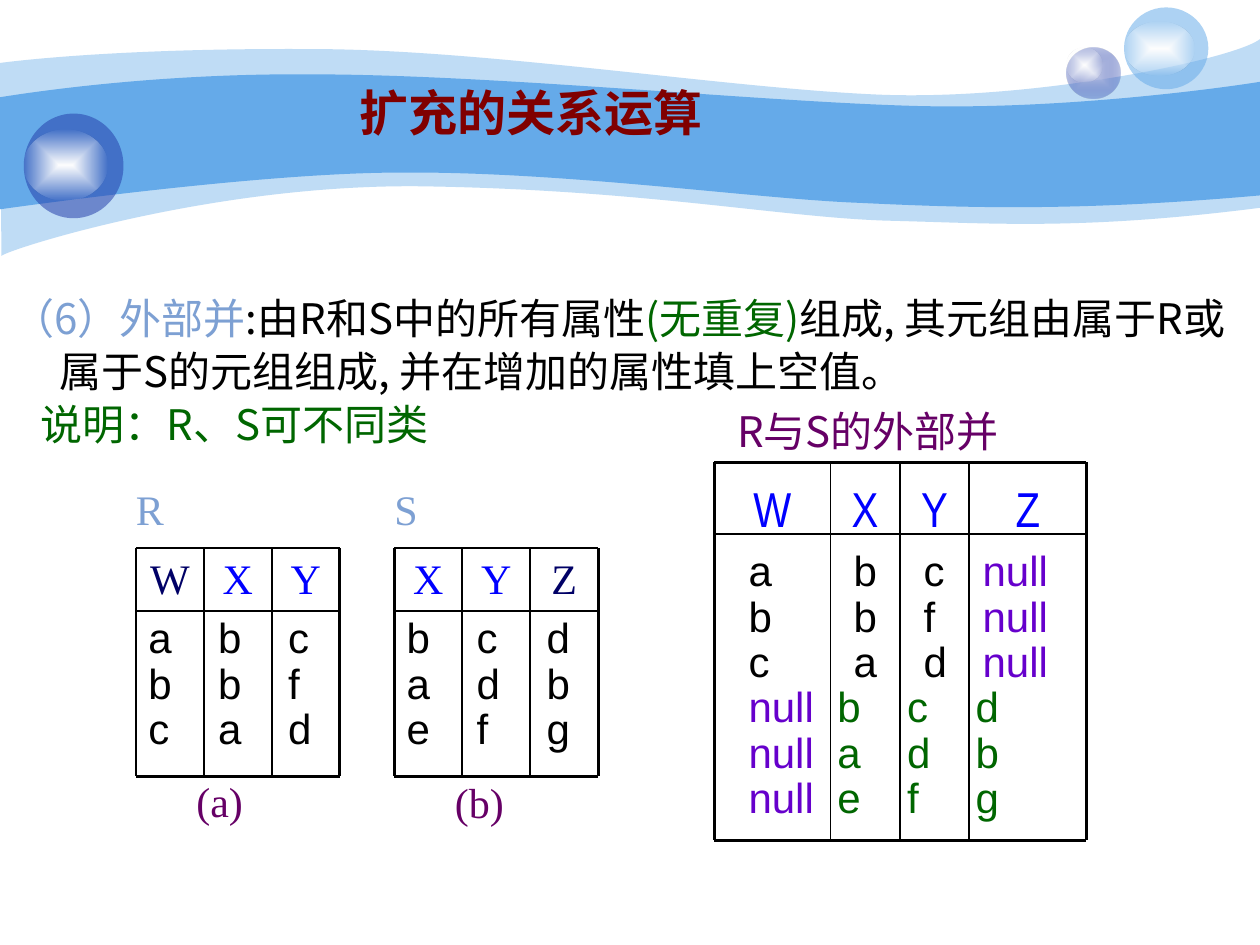
from itertools import accumulate
from pptx import Presentation
from pptx.dml.color import RGBColor
from pptx.enum.shapes import MSO_CONNECTOR as Link, MSO_SHAPE as Shape
from pptx.enum.text import MSO_ANCHOR as Anchor, PP_ALIGN as Align
from pptx.oxml import parse_xml
from pptx.oxml.ns import nsdecls, qn
from pptx.util import Cm, Pt

BLACK = RGBColor(0x00, 0x00, 0x00)
BLUE = RGBColor(0x00, 0x00, 0xFF)
NAVY = RGBColor(0x00, 0x00, 0x66)
GREEN = RGBColor(0x00, 0x66, 0x00)
PLUM = RGBColor(0x66, 0x00, 0x66)
VIOLET = RGBColor(0x66, 0x00, 0xCC)
MAROON = RGBColor(0x80, 0x00, 0x00)
STEEL = RGBColor(0x7D, 0xA0, 0xD3)
SKY = RGBColor(0x65, 0xAA, 0xE9)
ROYAL = RGBColor(0x23, 0x3D, 0xA9)
PALE = RGBColor(0xC7, 0xCE, 0xE9)
WHITE = RGBColor(0xFF, 0xFF, 0xFF)

HAN, LATO, TIMES = "Noto Sans CJK SC", "Lato", "Times New Roman"
ARIAL, NARROW = "Arial", "Arial Narrow"

# Each wave: opacity, upper edge and lower edge as chained Bezier points in cm
WAVES = [
    (41,
     [(0, 1.27), (.61, 1.19), (2.72, .97), (6.27, .99), (9.8, .99),
      (14.61, 1.78), (17.75, 1.91), (20.88, 2.03), (24.89, 1.19), (25.4, .79)],
     [(25.4, 4.19), (21.79, 4.65), (19.99, 4.5), (17.91, 4.45), (15.8, 4.39),
      (13.08, 3.84), (8.71, 3.76), (4.37, 3.66), (.1, 5.05), (.03, 5.16)]),
    (100,
     [(0, 1.96), (.05, 1.96), (2.79, 1.47), (6.3, 1.5), (9.8, 1.5),
      (15.11, 2.03), (18.24, 2.13), (21.36, 2.24), (24.79, 1.75), (25.4, 1.65)],
     [(25.4, 3.94), (21.67, 4.27), (19.43, 4.19), (17.32, 4.09), (15.21, 4.01),
      (11.35, 3.45), (8.05, 3.48), (5.16, 3.48), (0, 4.22), (0, 4.22)]),
]

# Fill stops as (colour, opacity); one stop is a plain fill
SHINE = [(WHITE, 100), (WHITE, 0)]
BALLS = [
    ((21.51, .97, 1.07, 1.02), [(PALE, 100), (ROYAL, 31)]),
    ((21.51, .97, .71, .69), SHINE),
    ((22.66, .15, 1.7, 1.65), [(SKY, 53)]),
    ((22.66, .43, 1.42, 1.09), SHINE),
    ((.48, 2.29, 2.01, 2.11), [(ROYAL, 53)]),
    ((.48, 2.62, 1.68, 1.42), SHINE),
]

TITLE = [("扩充的关系运算", MAROON, TIMES)]
BODY = [
    [("（6）外部并", STEEL, HAN), (":由R和S中的所有属性", BLACK, HAN),
     ("(无重复)", GREEN, HAN),
     ("组成, 其元组由属于R或属于S的元组组成, 并在增加的属性填上空值。", BLACK, HAN)],
    [("说明：R、S可不同类", GREEN, HAN)],
]
HEADING = [("R", PLUM, HAN), ("与", PLUM, LATO), ("S的外部并", PLUM, HAN)]
CAPTIONS = [
    ((2.74, 9.75, 1.37, 1.14), "R", STEEL),
    ((7.95, 9.75, 1.09, 1.14), "S", STEEL),
    ((3.96, 15.63, 1.7, 1.14), "(a)", PLUM),
    ((9.17, 15.65, 1.7, 1.14), "(b)", PLUM),
]

# Tab stops in cm: "tabs" for rows of R, "late" for rows that begin with null
SMALL = dict(top=11.05, cols=[1.37] * 3, head=1.27, height=4.6, font=TIMES, size=24,
             tip=.08, text=(.25, 1.4, 3.61, 2.87), tabs=[1.41, 2.82])
RELATIONS = [
    dict(left=14.4, top=9.32, cols=[2.34, 1.4, 1.4, 2.36], head=1.45, height=7.62,
         font=NARROW, size=28, tip=.33, text=(.69, 1.78, 6.53, 5.5),
         tabs=[2.12, 3.53, 4.72], late=[1.79, 3.2, 4.58],
         names="WXYZ", tints=[BLUE] * 4,
         rows=["a b c null", "b b f null", "c a d null",
               "null b c d", "null a d b", "null e f g"]),
    dict(SMALL, left=2.74, names="WXY", tints=[NAVY, BLUE, BLUE],
         rows=["a b c", "b b f", "c a d"]),
    dict(SMALL, left=7.95, names="XYZ", tints=[BLUE, BLUE, NAVY],
         rows=["b c d", "a d b", "e f g"]),
]


def paint(shape, stops):
    shape.shadow.inherit = False
    shape.line.fill.background()
    shape.fill.solid()
    tints = [f'<a:srgbClr val="{c}"><a:alpha val="{a * 1000}"/></a:srgbClr>' for c, a in stops]
    if len(stops) == 1:
        xml = f'<a:solidFill {nsdecls("a")}>{tints[0]}</a:solidFill>'
    else:
        marks = "".join(f'<a:gs pos="{i * 100000}">{t}</a:gs>' for i, t in enumerate(tints))
        xml = (f'<a:gradFill {nsdecls("a")} rotWithShape="1"><a:gsLst>{marks}</a:gsLst>'
               '<a:path path="rect"><a:fillToRect l="50000" t="50000" r="50000" b="50000"/>'
               '</a:path></a:gradFill>')
    props = shape.element.spPr
    props.replace(props.find(qn("a:solidFill")), parse_xml(xml))


def add_wave(slide, upper, lower):
    points = [(Cm(x), Cm(y)) for x, y in upper + lower]
    pen = slide.shapes.build_freeform(*points[0])
    pen.add_line_segments(points[1:], close=True)
    wave = pen.convert_to_shape()
    steps = list(wave.element.iter(qn("a:lnTo")))
    bend = len(upper) - 1
    for edge in (steps[:bend], steps[bend + 1:len(points) - 1]):
        for i in range(0, len(edge), 3):
            curve = parse_xml(f'<a:cubicBezTo {nsdecls("a")}/>')
            edge[i].addprevious(curve)
            for step in edge[i:i + 3]:
                curve.append(step[0])
                step.getparent().remove(step)
    return wave


def write(para, runs, size, **looks):
    for name, value in looks.items():
        setattr(para, name, value)
    for text, tint, face in runs:
        run = para.add_run()
        run.text = text
        font = run.font
        font.size, font.name, font.color.rgb = Pt(size), face, tint
        run._r.get_or_add_rPr().append(
            parse_xml(f'<a:ea {nsdecls("a")} typeface="{HAN}"/>'))


def add_box(slide, place, **looks):
    frame = slide.shapes.add_textbox(*map(Cm, place)).text_frame
    base = dict(word_wrap=True, margin_left=0, margin_right=0, margin_top=0, margin_bottom=0)
    for name, value in {**base, **looks}.items():
        setattr(frame, name, value)
    return frame


def add_rule(slide, ends, width):
    rule = slide.shapes.add_connector(Link.STRAIGHT, *map(Cm, ends))
    rule.line.width, rule.line.color.rgb = Pt(width), BLACK
    rule.element.spPr.append(parse_xml(f'<a:effectLst {nsdecls("a")}/>'))


def next_para(frame, i):
    return frame.add_paragraph() if i else frame.paragraphs[0]


def add_relation(slide, rel):
    left, top, head = rel["left"], rel["top"], rel["head"]
    edges = list(accumulate(rel["cols"], initial=left))
    right, foot = edges[-1], top + rel["height"]
    for name, tint, x, width in zip(rel["names"], rel["tints"], edges, rel["cols"]):
        frame = add_box(slide, (x, top, width, head), margin_top=Cm(rel["tip"]))
        write(frame.paragraphs[0], [(name, tint, rel["font"])], rel["size"],
              alignment=Align.CENTER)

    for x in edges:
        add_rule(slide, (x, top, x, foot), 1.5 if x in (left, right) else 1)
    for y, width in ((top, 1.5), (top + head, 1), (foot, 1.5)):
        add_rule(slide, (left, y, right, y), width)

    dx, dy, width, height = rel["text"]
    frame = add_box(slide, (left + dx, top + dy, width, height))
    for i, row in enumerate(rel["rows"]):
        words = row.split()
        late = words[0] == "null"
        para = next_para(frame, i)
        stops = "".join(f'<a:tab pos="{Cm(t)}" algn="l"/>'
                        for t in rel["late" if late else "tabs"])
        para._p.get_or_add_pPr().append(
            parse_xml(f'<a:tabLst {nsdecls("a")}>{stops}</a:tabLst>'))
        runs = [("\t" * (c > 0) + word,
                 VIOLET if word == "null" else GREEN if late else BLACK, ARIAL)
                for c, word in enumerate(words)]
        write(para, runs, 24, line_spacing=.9)


def main():
    deck = Presentation()
    deck.slide_width, deck.slide_height = Cm(25.4), Cm(19.05)
    slide = deck.slides.add_slide(deck.slide_layouts[6])

    for alpha, upper, lower in WAVES:
        paint(add_wave(slide, upper, lower), [(SKY, alpha)])
    for place, stops in BALLS:
        paint(slide.shapes.add_shape(Shape.OVAL, *map(Cm, place)), stops)

    frame = add_box(slide, (6.02, 1.2, 9.37, 2.11), vertical_anchor=Anchor.MIDDLE)
    write(frame.paragraphs[0], TITLE, 28, alignment=Align.CENTER)
    frame.paragraphs[0].runs[0].font.bold = True

    pads = dict(margin_left=Cm(.25), margin_right=Cm(.25), margin_top=Cm(.13))
    frame = add_box(slide, (0, 5.72, 25.4, 3.56), **pads)
    for i, (runs, margin, indent) in enumerate(zip(BODY, (.95, .57), (-.95, 0))):
        para = next_para(frame, i)
        props = para._p.get_or_add_pPr()
        props.set("marL", str(Cm(margin)))
        props.set("indent", str(Cm(indent)))
        write(para, runs, 24, line_spacing=Pt(30.24))

    write(add_box(slide, (14.61, 8.05, 6.68, 1.27), **pads).paragraphs[0], HEADING, 24)
    for rel in RELATIONS:
        add_relation(slide, rel)
    for place, text, tint in CAPTIONS:
        write(add_box(slide, place).paragraphs[0], [(text, tint, TIMES)], 24)
    deck.save("out.pptx")


if __name__ == "__main__":
    main()
